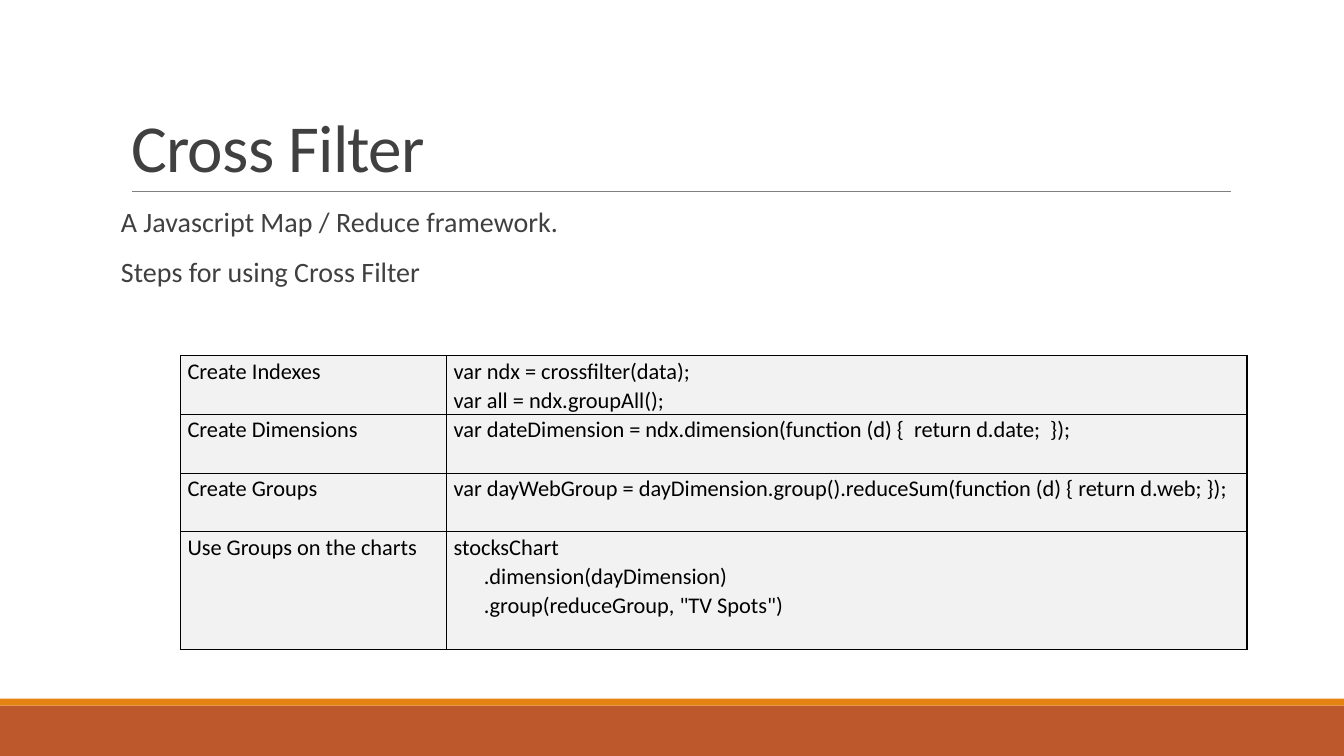
from lxml import etree
from pptx import Presentation
from pptx import util as u
from pptx.dml.color import RGBColor
from pptx.enum import shapes, text
from pptx.oxml.ns import qn

WIDE, HIGH = u.Inches(13.33), u.Inches(7.5)
FONT = "Calibri"
HUES = {"rust": "BD582C", "gold": "E48312", "rule": "808080",
        "ink": "404040", "code": "000000", "cell": "F2F2F2"}
STEPS = [
    ("Create Indexes", ["var ndx = crossfilter(data);", "var all = ndx.groupAll();"], 2),
    ("Create Dimensions",
     ["var dateDimension = ndx.dimension(function (d) {  return d.date;  });"], 2),
    ("Create Groups",
     ["var dayWebGroup = dayDimension.group().reduceSum(function (d) { return d.web; });"], 2),
    ("Use Groups on the charts",
     ["stocksChart", ".dimension(dayDimension)", '.group(reduceGroup, "TV Spots")'], 4),
]


def hue(name):
    return RGBColor.from_string(HUES[name])


def across(share):
    return int(WIDE * share / 100)


def down(share):
    return int(HIGH * share / 100)


def place(item, left, top, width, height):
    item.left, item.top = across(left), down(top)
    item.width, item.height = across(width), down(height)


def write(frame, lines, size, color, gap=1, before=0, after=0, track=0):
    frame.word_wrap = True
    for i, line in enumerate(lines):
        para = frame.paragraphs[0] if i == 0 else frame.add_paragraph()
        para.alignment = text.PP_ALIGN.LEFT
        para.line_spacing = gap
        para.space_before, para.space_after = u.Pt(before), u.Pt(after)
        props = para._p.get_or_add_pPr()
        props.set("marL", str(u.Inches(0.3) if line.startswith(".") else 0))
        props.set("indent", "0")
        etree.SubElement(props, qn("a:buNone"))
        run = para.add_run()
        run.text = line
        run.font.name, run.font.size = FONT, u.Pt(size)
        run.font.color.rgb = hue(color)
        if track:
            run._r.get_or_add_rPr().set("spc", str(track))


def band(slide, top, height, color):
    bar = slide.shapes.add_shape(shapes.MSO_SHAPE.RECTANGLE, 0, down(top), WIDE, down(height))
    bar.shadow.inherit = False
    bar.fill.solid()
    bar.fill.fore_color.rgb = hue(color)
    bar.line.fill.background()


def rule(slide, left, right, top):
    line = slide.shapes.add_connector(shapes.MSO_CONNECTOR.STRAIGHT, across(left), down(top),
                                      across(right), down(top))
    line.line.color.rgb = hue("rule")
    line.line.width = u.Pt(0.5)
    etree.SubElement(line._element.spPr, qn("a:effectLst"))


def edge(cell):
    props = cell._tc.get_or_add_tcPr()
    for i, side in enumerate("LRTB"):
        line = etree.Element(qn("a:ln" + side), w=str(u.Pt(1)))
        fill = etree.SubElement(line, qn("a:solidFill"))
        etree.SubElement(fill, qn("a:srgbClr"), val=HUES["code"])
        props.insert(i, line)


def grid(slide, left, top, widths, unit):
    total = sum(step[2] for step in STEPS)
    table = slide.shapes.add_table(len(STEPS), len(widths), across(left), down(top),
                                   across(sum(widths)), down(unit * total)).table
    table.first_row = table.horz_banding = False
    for col, width in zip(table.columns, widths):
        col.width = across(width)
    for row, (label, code, units) in zip(table.rows, STEPS):
        row.height = down(unit * units)
        for cell, lines in zip(row.cells, ([label], code)):
            cell.margin_left = cell.margin_right = u.Inches(0.07)
            cell.margin_top = cell.margin_bottom = 0
            cell.fill.solid()
            cell.fill.fore_color.rgb = hue("cell")
            edge(cell)
            write(cell.text_frame, lines, 16, "code", gap=1.07)


def main():
    deck = Presentation()
    deck.slide_width, deck.slide_height = WIDE, HIGH
    slide = deck.slides.add_slide(deck.slide_layouts[1])
    band(slide, 93.33, 6.67, "rust")
    band(slide, 92.4, 0.93, "gold")
    rule(slide, 9.83, 91.6, 25.33)

    title, body = slide.placeholders
    place(title, 9, 4.13, 82.5, 21.2)
    title.text_frame.vertical_anchor = text.MSO_ANCHOR.BOTTOM
    write(title.text_frame, ["Cross Filter"], 48, "ink", gap=0.85, track=-50)

    place(body, 9, 26.93, 82.5, 58.67)
    body.text_frame.margin_left = body.text_frame.margin_right = 0
    write(body.text_frame, ["A Javascript Map / Reduce framework.", "Steps for using Cross Filter"],
          20, "ink", gap=0.9, before=12, after=2)

    grid(slide, 13.43, 47.07, (19.8, 59.56), 3.88)
    deck.save("out.pptx")


if __name__ == "__main__":
    main()
